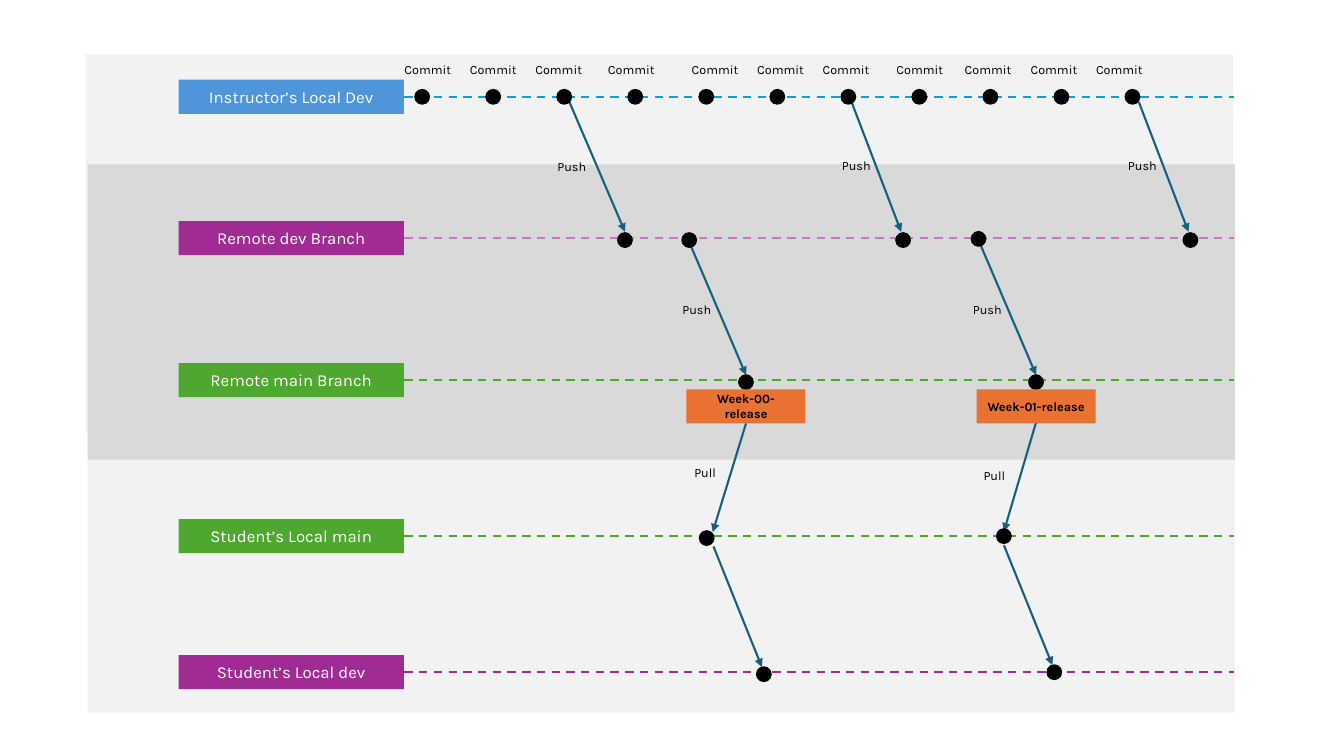
from dataclasses import dataclass

from lxml import etree
from pptx import Presentation
from pptx import util as u
from pptx.dml.color import RGBColor
from pptx.enum import dml, shapes, text
from pptx.oxml import ns
from pptx.shapes.autoshape import Shape
from pptx.shapes.connector import Connector
from pptx.slide import Slide

BLACK = RGBColor(0x00, 0x00, 0x00)
WHITE = RGBColor(0xFF, 0xFF, 0xFF)
LIGHT_GREY = RGBColor(0xF2, 0xF2, 0xF2)
MID_GREY = RGBColor(0xD9, 0xD9, 0xD9)
BLUE = RGBColor(0x4E, 0x95, 0xD9)
SKY = RGBColor(0x0F, 0x9E, 0xD5)
PURPLE = RGBColor(0xA0, 0x2B, 0x93)
PINK = RGBColor(0xD8, 0x6E, 0xCC)
GREEN = RGBColor(0x4E, 0xA7, 0x2E)
ORANGE = RGBColor(0xE9, 0x71, 0x32)
TEAL = RGBColor(0x15, 0x60, 0x82)

FONT = "Karla"
LABEL_HEIGHT = 0.86
LANE_LABEL_LEFT, LANE_LABEL_WIDTH = 4.5, 5.68
LANE_START, LANE_END = 10.19, 31.09
DOT_SIZE = 0.4
COMMIT_START, COMMIT_STEP, COMMIT_Y = 10.64, 1.79, 2.44
COMMIT_LABEL_Y = 1.74
RELEASE_WIDTH, RELEASE_Y = 3.0, 10.24


@dataclass(frozen=True)
class Band:
    left: float
    top: float
    height: float
    colour: RGBColor


@dataclass(frozen=True)
class Lane:
    name: str
    y: float
    label_colour: RGBColor
    line_colour: RGBColor


@dataclass(frozen=True)
class Point:
    x: float
    y: float


@dataclass(frozen=True)
class Step:
    start: Point
    end: Point
    caption: str = ""
    caption_at: Point = Point(0, 0)


@dataclass(frozen=True)
class Release:
    name: str
    x: float


BANDS = [
    Band(2.16, 1.37, 9.53, LIGHT_GREY),
    Band(2.21, 4.14, 7.49, MID_GREY),
    Band(2.21, 11.58, 6.38, LIGHT_GREY),
]
BAND_WIDTH = 28.91

LANES = [
    Lane("Instructor’s Local Dev", 2.44, BLUE, SKY),
    Lane("Remote dev Branch", 6.0, PURPLE, PINK),
    Lane("Remote main Branch", 9.58, GREEN, GREEN),
    Lane("Student’s Local main", 13.51, GREEN, GREEN),
    Lane("Student’s Local dev", 16.94, PURPLE, PURPLE),
]

COMMIT_LABEL_XS = [10.78, 12.43, 14.08, 15.91, 18.02, 19.67,
                   21.32, 23.18, 24.9, 26.56, 28.21]

STEPS = [
    Step(Point(14.35, 2.57), Point(15.75, 5.84), "Push", Point(14.41, 4.19)),
    Step(Point(21.46, 2.57), Point(22.71, 5.84), "Push", Point(21.58, 4.17)),
    Step(Point(28.7, 2.57), Point(29.95, 5.84), "Push", Point(28.79, 4.17)),
    Step(Point(17.4, 6.17), Point(18.8, 9.45), "Push", Point(17.56, 7.8)),
    Step(Point(24.71, 6.17), Point(26.11, 9.45), "Push", Point(24.88, 7.8)),
    Step(Point(18.8, 10.67), Point(17.96, 13.41), "Pull", Point(17.77, 11.91)),
    Step(Point(26.11, 10.64), Point(25.3, 13.39), "Pull", Point(25.06, 11.99)),
    Step(Point(17.98, 13.77), Point(19.2, 16.81)),
    Step(Point(25.3, 13.74), Point(26.52, 16.76)),
]

BRANCH_DOTS = [
    Point(15.75, 6.05), Point(17.37, 6.05), Point(22.76, 6.05),
    Point(24.66, 6.02), Point(30.0, 6.05),
    Point(18.8, 9.63), Point(26.11, 9.63),
    Point(17.81, 13.56), Point(25.3, 13.51),
    Point(19.25, 16.99), Point(26.57, 16.94),
]

RELEASES = [Release("Week-00-release", 18.8), Release("Week-01-release", 26.11)]


def add_filled(page: Slide, kind: shapes.MSO_SHAPE, left: float, top: float,
               width: float, height: float, colour: RGBColor) -> Shape:
    box = page.shapes.add_shape(kind, u.Cm(left), u.Cm(top), u.Cm(width), u.Cm(height))
    box.shadow.inherit = False
    box.fill.solid()
    box.fill.fore_color.rgb = colour
    box.line.fill.background()
    return box


def write(box: Shape, words: str, size: int, colour: RGBColor, bold: bool = False) -> None:
    frame = box.text_frame
    frame.word_wrap = True
    frame.vertical_anchor = text.MSO_ANCHOR.MIDDLE
    para = frame.paragraphs[0]
    para.text = words
    para.alignment = text.PP_ALIGN.CENTER
    para.font.name = FONT
    para.font.size = u.Pt(size)
    para.font.bold = bold
    para.font.color.rgb = colour


def add_caption(page: Slide, words: str, centre: Point, width: float) -> None:
    box = page.shapes.add_textbox(u.Cm(centre.x - width / 2), u.Cm(centre.y - LABEL_HEIGHT / 2),
                                  u.Cm(width), u.Cm(LABEL_HEIGHT))
    write(box, words, 9, BLACK)


def add_line(page: Slide, start: Point, end: Point, colour: RGBColor) -> Connector:
    line = page.shapes.add_connector(shapes.MSO_CONNECTOR.STRAIGHT, u.Cm(start.x),
                                     u.Cm(start.y), u.Cm(end.x), u.Cm(end.y))
    line.line.color.rgb = colour
    line.line.width = u.Pt(1.5)
    etree.SubElement(line._element.spPr, ns.qn("a:effectLst"))
    return line


def add_lane(page: Slide, lane: Lane) -> None:
    line = add_line(page, Point(LANE_START, lane.y), Point(LANE_END, lane.y), lane.line_colour)
    line.line.dash_style = dml.MSO_LINE.DASH
    label = add_filled(page, shapes.MSO_SHAPE.RECTANGLE, LANE_LABEL_LEFT,
                       lane.y - LABEL_HEIGHT / 2, LANE_LABEL_WIDTH, LABEL_HEIGHT,
                       lane.label_colour)
    write(label, lane.name, 12, WHITE)


def add_step(page: Slide, step: Step) -> None:
    arrow = add_line(page, step.start, step.end, TEAL)
    etree.SubElement(arrow.line._get_or_add_ln(), ns.qn("a:tailEnd"), type="triangle")
    if step.caption:
        add_caption(page, step.caption, step.caption_at, 1.5)


def add_dot(page: Slide, centre: Point) -> None:
    add_filled(page, shapes.MSO_SHAPE.OVAL, centre.x - DOT_SIZE / 2,
               centre.y - DOT_SIZE / 2, DOT_SIZE, DOT_SIZE, BLACK)


def add_release(page: Slide, release: Release) -> None:
    box = add_filled(page, shapes.MSO_SHAPE.RECTANGLE, release.x - RELEASE_WIDTH / 2,
                     RELEASE_Y - LABEL_HEIGHT / 2, RELEASE_WIDTH, LABEL_HEIGHT, ORANGE)
    write(box, release.name, 9, BLACK, bold=True)


def main() -> None:
    deck = Presentation()
    deck.slide_width, deck.slide_height = u.Cm(33.87), u.Cm(19.05)
    page = deck.slides.add_slide(deck.slide_layouts.get_by_name("Blank"))
    for band in BANDS:
        add_filled(page, shapes.MSO_SHAPE.RECTANGLE, band.left, band.top,
                   BAND_WIDTH, band.height, band.colour)
    for lane in LANES:
        add_lane(page, lane)
    for step in STEPS:
        add_step(page, step)
    for index, label_x in enumerate(COMMIT_LABEL_XS):
        add_dot(page, Point(COMMIT_START + index * COMMIT_STEP, COMMIT_Y))
        add_caption(page, "Commit", Point(label_x, COMMIT_LABEL_Y), 1.75)
    for centre in BRANCH_DOTS:
        add_dot(page, centre)
    for release in RELEASES:
        add_release(page, release)
    deck.save("out.pptx")


if __name__ == "__main__":
    main()
